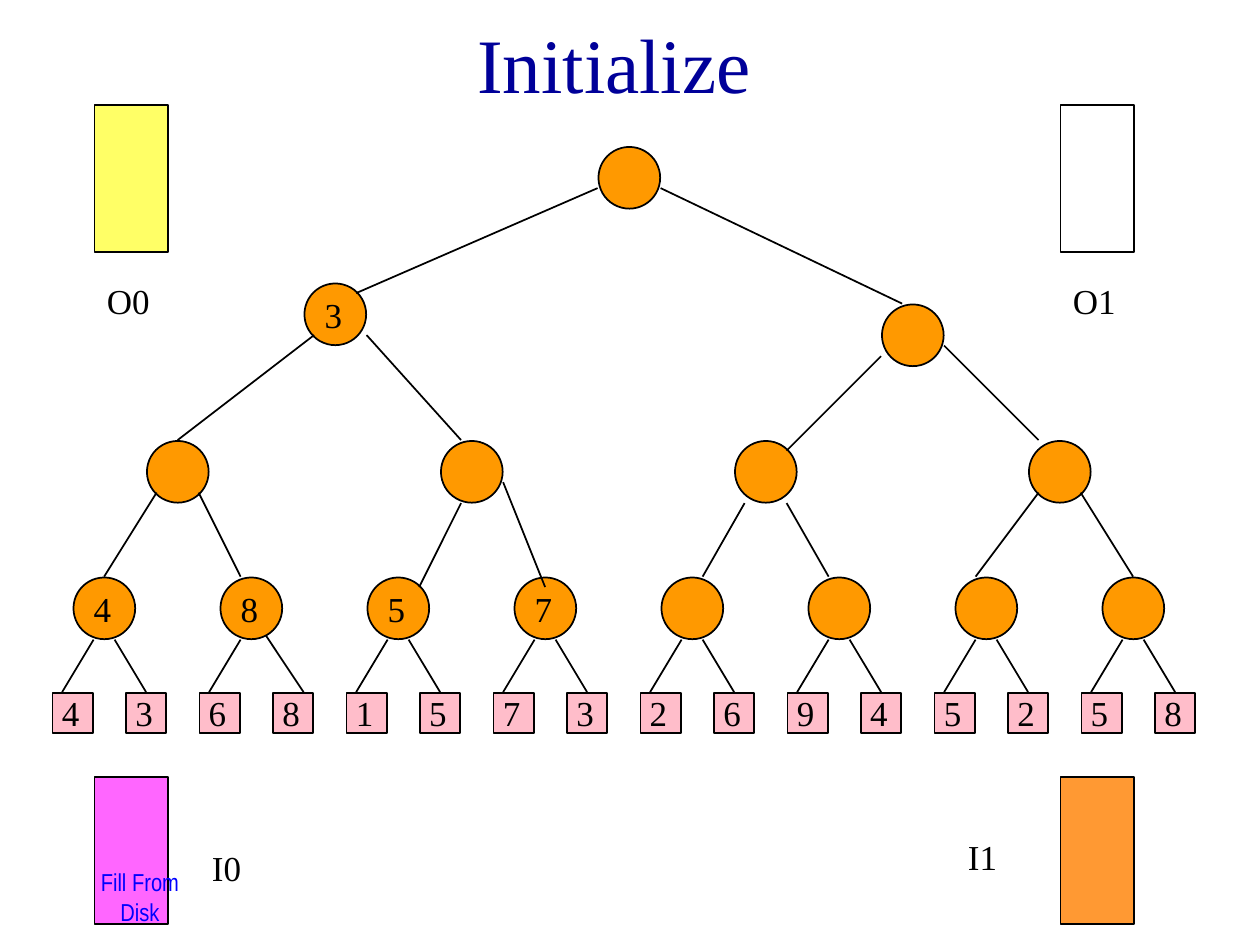
from typing import NamedTuple

from lxml import etree
from pptx import Presentation
from pptx.dml.color import RGBColor
from pptx.enum import shapes, text
from pptx.oxml import ns
from pptx.util import Pt

BLACK = RGBColor(0x00, 0x00, 0x00)
WHITE = RGBColor(0xFF, 0xFF, 0xFF)
NAVY = RGBColor(0x00, 0x00, 0x99)
BLUE = RGBColor(0x00, 0x00, 0xFF)
PINK = RGBColor(0xFF, 0xBD, 0xCA)
ORANGE = RGBColor(0xFF, 0x99, 0x00)
AMBER = RGBColor(0xFF, 0x99, 0x33)
YELLOW = RGBColor(0xFF, 0xFF, 0x66)
VIOLET = RGBColor(0xFF, 0x66, 0xFF)

RECT = shapes.MSO_SHAPE.RECTANGLE
OVAL = shapes.MSO_SHAPE.OVAL
LEAF, NODE = 23, 35.25  # side of a leaf, diameter of a node
LEAF_Y, LOW_Y, MID_Y = 396, 330, 252
STEP = 42  # distance between leaves


class Node(NamedTuple):
    x: float
    y: float
    key: str = ""


class Edge(NamedTuple):
    x1: float
    y1: float
    x2: float
    y2: float


class Buffer(NamedTuple):
    x: float
    y: float
    fill: RGBColor
    name: str
    name_x: float
    name_y: float


LEAVES = [Node(30 + STEP * i, LEAF_Y, key)
          for i, key in enumerate("4368157326945258")]

NODES = [Node(342, 84), Node(174, 162, "3"), Node(504, 174)]
NODES += [Node(84 + 4 * STEP * i, MID_Y) for i in range(4)]
NODES += [Node(42 + 2 * STEP * i, LOW_Y, key)
          for i, key in enumerate(["4", "8", "5", "7", "", "", "", ""])]

BRANCHES = [
    # Root to second level
    Edge(342, 108, 204, 168), Edge(378, 108, 516, 174),
    # Second to third level
    Edge(180, 192, 102, 252), Edge(210, 192, 264, 252),
    Edge(504, 204, 450, 258), Edge(540, 198, 594, 252),
    # Third to fourth level
    Edge(90, 282, 60, 330), Edge(114, 282, 138, 330),
    Edge(264, 288, 240, 336), Edge(288, 276, 312, 336),
    Edge(426, 288, 402, 330), Edge(450, 288, 474, 330),
    Edge(594, 282, 558, 330), Edge(618, 282, 648, 330),
]

BUFFERS = [
    Buffer(54, 60, YELLOW, "O0", 54, 156),
    Buffer(606, 60, WHITE, "O1", 606, 156),
    Buffer(54, 444, VIOLET, "I0", 114, 480),
    Buffer(606, 444, AMBER, "I1", 546, 474),
]


def twigs() -> list[Edge]:
    """Edges from the fourth level down to the leaves."""
    out = []
    for i in range(8):
        x = 2 * STEP * i
        out.append(Edge(x + 54, 366, x + 36, LEAF_Y))
        if i == 1:  # this one starts under its node and ends further right
            out.append(Edge(x + 66, 360, x + 90, LEAF_Y))
        else:
            out.append(Edge(x + 66, 366, x + 84, LEAF_Y))
    return out


def write(slide, words: str, x: float, y: float, w: float, h: float, *,
          size: float = 20, font: str = "Times New Roman",
          color: RGBColor = BLACK, align=text.PP_ALIGN.LEFT,
          anchor=text.MSO_ANCHOR.TOP, wrap: bool = True) -> None:
    box = slide.shapes.add_textbox(Pt(x), Pt(y), Pt(w), Pt(h))
    frame = box.text_frame
    frame.word_wrap = wrap
    frame.vertical_anchor = anchor
    par = frame.paragraphs[0]
    par.alignment = align
    run = par.add_run()
    run.text = words
    run.font.size = Pt(size)
    run.font.name = font
    run.font.color.rgb = color


def block(slide, kind, x: float, y: float, w: float, h: float,
          fill: RGBColor) -> None:
    item = slide.shapes.add_shape(kind, Pt(x), Pt(y), Pt(w), Pt(h))
    item.shadow.inherit = False
    item.fill.solid()
    item.fill.fore_color.rgb = fill
    item.line.color.rgb = BLACK
    item.line.width = Pt(1)


def link(slide, edge: Edge) -> None:
    # Edges sit half a point up and left of the grid
    ends = [Pt(v - 0.5) for v in edge]
    line = slide.shapes.add_connector(shapes.MSO_CONNECTOR.STRAIGHT, *ends)
    line.line.color.rgb = BLACK
    line.line.width = Pt(1)
    etree.SubElement(line._element.spPr, ns.qn("a:effectLst"))


def digit(slide, node: Node, dx: float, dy: float) -> None:
    if node.key:
        write(slide, node.key, node.x + dx, node.y + dy, 24.4, 31, wrap=False)


def main() -> None:
    deck = Presentation()
    deck.slide_width, deck.slide_height = Pt(720), Pt(540)
    slide = deck.slides.add_slide(deck.slide_layouts[6])

    # Tree
    for leaf in LEAVES:
        block(slide, RECT, leaf.x, leaf.y, LEAF, LEAF, PINK)
    for edge in twigs():
        link(slide, edge)
    for node in NODES:
        block(slide, OVAL, node.x, node.y, NODE, NODE, ORANGE)
    for edge in BRANCHES:
        link(slide, edge)

    # Keys
    for leaf in LEAVES:
        digit(slide, leaf, -1.8, -4.3)
    for node in NODES:
        digit(slide, node, 4.4, 2)

    # Title
    write(slide, "Initialize", 0, 0, 702, 72, size=44, color=NAVY,
          align=text.PP_ALIGN.CENTER, anchor=text.MSO_ANCHOR.MIDDLE)

    # Buffers
    for buf in BUFFERS:
        block(slide, RECT, buf.x, buf.y, 42, 84, buf.fill)
        write(slide, buf.name, buf.name_x, buf.name_y, 42, 31)
    write(slide, "Fill From Disk", 48, 492, 64, 30, size=14,
          font="Arial Narrow", color=BLUE, align=text.PP_ALIGN.CENTER)

    deck.save("out.pptx")


if __name__ == "__main__":
    main()
